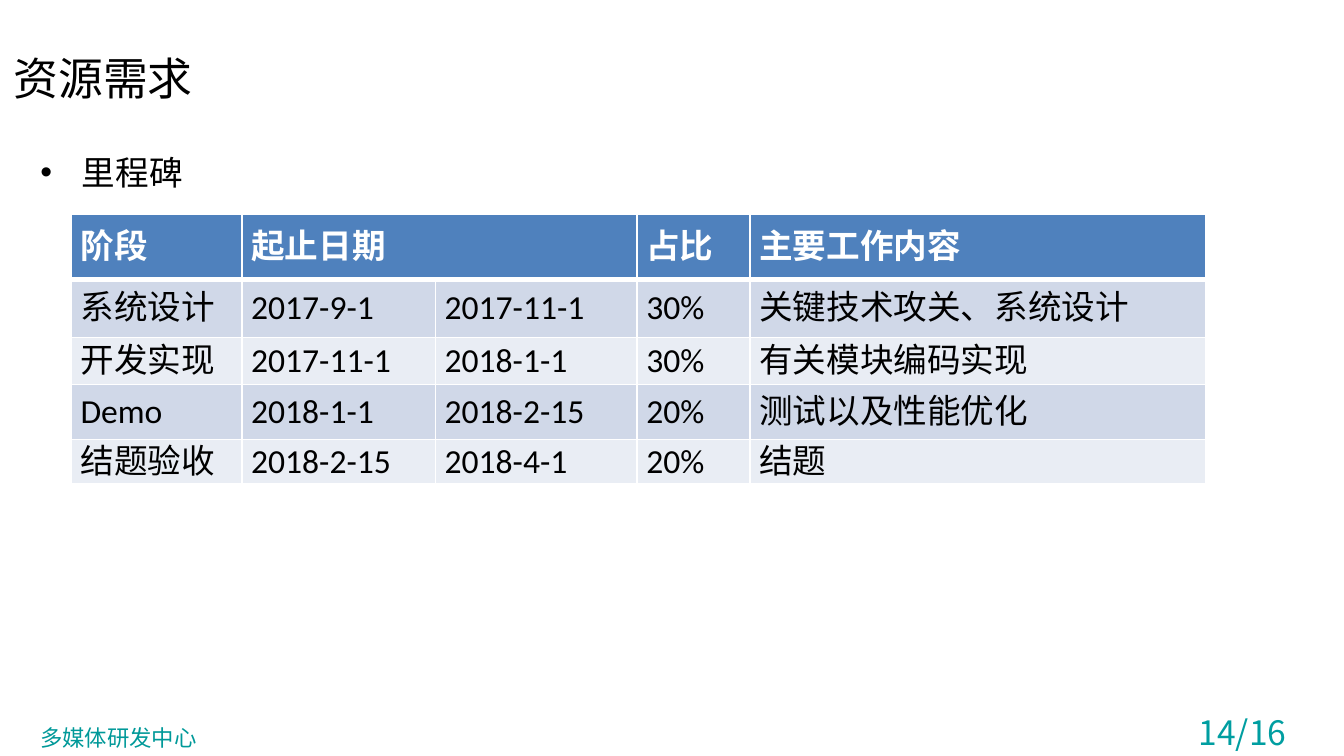
import pptx
import pptx.dml.color
import pptx.enum.text
import pptx.oxml
import pptx.oxml.ns
import pptx.util
from pptx.util import Inches

COLORS = {
    "black": "000000",
    "white": "FFFFFF",
    "header": "4F81BD",
    "odd_row": "D0D8E8",
    "even_row": "E9EDF4",
    "footer": "009999",
    "page": "009EA1",
}
CJK_FONT = "Noto Sans CJK SC"
TABLE_FONT = "Calibri"
COLUMN_WIDTHS = [1.27, 1.44, 1.5, 0.84, 3.39]
ROW_HEIGHTS = [0.49, 0.43, 0.35, 0.41, 0.33]
MILESTONES = [
    ["阶段", "起止日期", "", "占比", "主要工作内容"],
    ["系统设计", "2017-9-1", "2017-11-1", "30%", "关键技术攻关、系统设计"],
    ["开发实现", "2017-11-1", "2018-1-1", "30%", "有关模块编码实现"],
    ["Demo", "2018-1-1", "2018-2-15", "20%", "测试以及性能优化"],
    ["结题验收", "2018-2-15", "2018-4-1", "20%", "结题"],
]
ALIGN = pptx.enum.text.PP_ALIGN
ANCHOR = pptx.enum.text.MSO_ANCHOR
AUTO_SIZE = pptx.enum.text.MSO_AUTO_SIZE


def rgb(color):
    return pptx.dml.color.RGBColor.from_string(COLORS[color])


def add_element(parent, tag, **attributes):
    child = parent.makeelement(pptx.oxml.ns.qn(tag), attributes)
    parent.append(child)
    return child


def write_text(text_frame, text, size=18, color="black", font=CJK_FONT,
               bold=False, align=ALIGN.LEFT):
    paragraph = text_frame.paragraphs[0]
    paragraph.alignment = align
    run = paragraph.add_run()
    run.text = text
    run.font.size = pptx.util.Pt(size)
    run.font.bold = bold
    run.font.name = font
    run.font.color.rgb = rgb(color)
    add_element(run.font._element, "a:ea", typeface=font)
    return paragraph


def place(shape, left, top, width, height):
    shape.left, shape.top = Inches(left), Inches(top)
    shape.width, shape.height = Inches(width), Inches(height)


def fill_title(slide, text):
    title = slide.shapes.title
    place(title, 0, 0.29, 9.5, 0.57)
    title.text_frame.auto_size = AUTO_SIZE.NONE
    title.text_frame.vertical_anchor = ANCHOR.MIDDLE
    write_text(title.text_frame, text, size=24)


def fill_body(slide, text):
    body = slide.placeholders[1]
    place(body, 0.2, 1.08, 1.53, 0.47)
    body.text_frame.auto_size = AUTO_SIZE.NONE
    paragraph = write_text(body.text_frame, text)
    properties = paragraph._p.get_or_add_pPr()
    properties.set("marL", str(Inches(0.31)))
    properties.set("indent", str(Inches(-0.31)))
    add_element(properties, "a:buFont", typeface="Arial")
    add_element(properties, "a:buChar", char="•")


def add_label(slide, text, left, top, width, height, wrap=True,
              anchor=ANCHOR.TOP, **text_format):
    label = slide.shapes.add_textbox(
        Inches(left), Inches(top), Inches(width), Inches(height))
    label.text_frame.word_wrap = wrap
    label.text_frame.auto_size = AUTO_SIZE.SHAPE_TO_FIT_TEXT
    label.text_frame.vertical_anchor = anchor
    write_text(label.text_frame, text, **text_format)


def set_borders(cell, bottom_width):
    properties = cell._tc.get_or_add_tcPr()
    widths = {"a:lnL": 1, "a:lnR": 1, "a:lnT": 1, "a:lnB": bottom_width}
    for tag, width in widths.items():
        line = add_element(properties, tag, w=str(pptx.util.Pt(width)))
        solid_fill = add_element(line, "a:solidFill")
        add_element(solid_fill, "a:srgbClr", val=COLORS["white"])


def format_cell(cell, text, row_index):
    is_header = row_index == 0
    set_borders(cell, 3 if is_header else 1)
    cell.margin_left = cell.margin_right = Inches(0.07)
    cell.margin_top = cell.margin_bottom = 0
    cell.vertical_anchor = ANCHOR.MIDDLE
    cell.fill.solid()
    row_color = "odd_row" if row_index % 2 else "even_row"
    cell.fill.fore_color.rgb = rgb("header" if is_header else row_color)
    if text:
        write_text(cell.text_frame, text, font=TABLE_FONT, bold=is_header,
                   color="white" if is_header else "black")


def add_milestone_table(slide):
    table = slide.shapes.add_table(
        len(ROW_HEIGHTS), len(COLUMN_WIDTHS), Inches(0.53), Inches(1.59),
        Inches(sum(COLUMN_WIDTHS)), Inches(sum(ROW_HEIGHTS))).table
    for column, width in zip(table.columns, COLUMN_WIDTHS):
        column.width = Inches(width)
    for row, height in zip(table.rows, ROW_HEIGHTS):
        row.height = Inches(height)
    for row_index, texts in enumerate(MILESTONES):
        for column_index, text in enumerate(texts):
            format_cell(table.cell(row_index, column_index), text, row_index)
    table.cell(0, 1).merge(table.cell(0, 2))


def main():
    presentation = pptx.Presentation()
    presentation.slide_width = Inches(10)
    presentation.slide_height = presentation.slide_width * 9 // 16
    slide = presentation.slides.add_slide(presentation.slide_layouts[1])
    fill_title(slide, "资源需求")
    fill_body(slide, "里程碑")
    add_milestone_table(slide)
    add_label(slide, "多媒体研发中心", 0.2, 5.34, 1.38, 0.3, wrap=False,
              size=12, color="footer")
    add_label(slide, "14/16", 8.76, 5.25, 0.91, 0.4, anchor=ANCHOR.MIDDLE,
              color="page", align=ALIGN.RIGHT)
    presentation.save("out.pptx")


if __name__ == "__main__":
    main()
